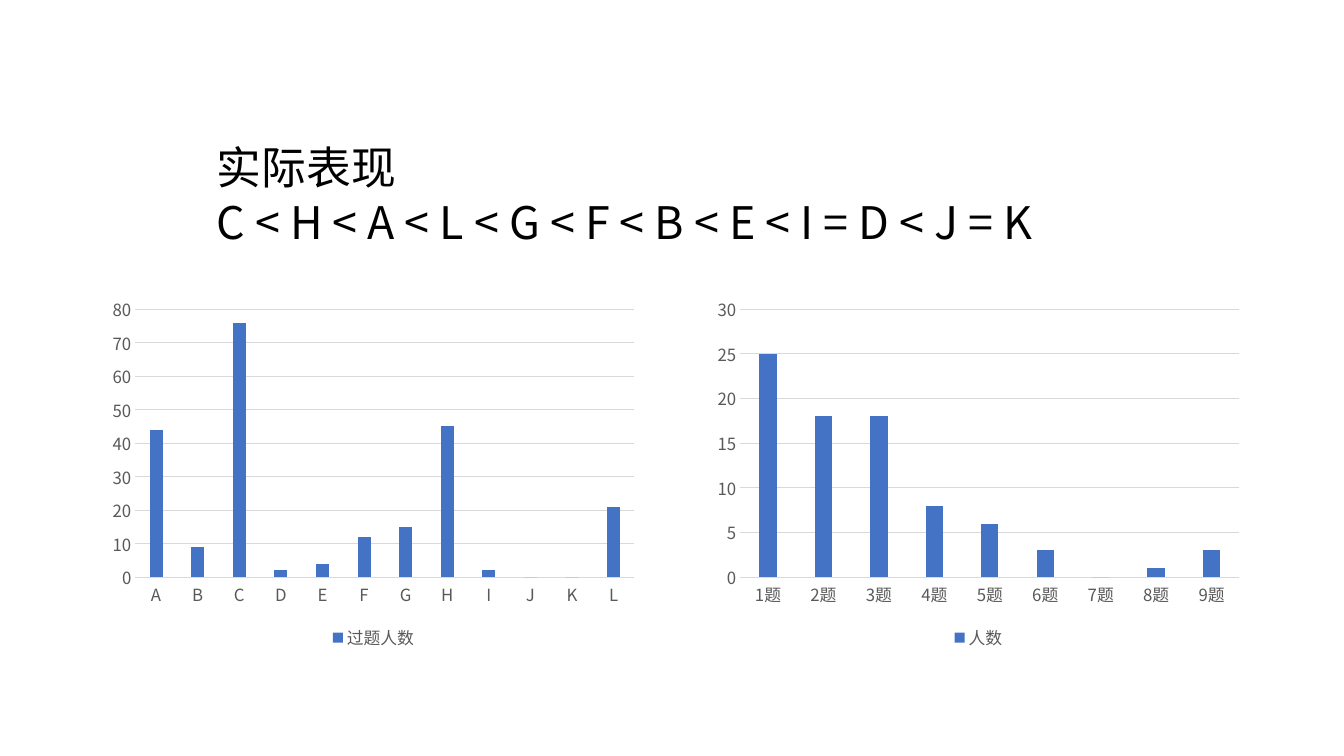
from dataclasses import dataclass

from lxml import etree
from pptx import Presentation
from pptx.chart.data import CategoryChartData
from pptx.dml.color import RGBColor
from pptx.enum.chart import XL_CHART_TYPE, XL_LEGEND_POSITION, XL_TICK_MARK
from pptx.enum.text import MSO_AUTO_SIZE
from pptx.oxml.ns import qn
from pptx.util import Inches, Pt

CLUSTERED = XL_CHART_TYPE.COLUMN_CLUSTERED
BOTTOM = XL_LEGEND_POSITION.BOTTOM
NO_TICKS = XL_TICK_MARK.NONE
FIT_SHAPE = MSO_AUTO_SIZE.SHAPE_TO_FIT_TEXT


@dataclass(frozen=True)
class Theme:
    typeface: str = "Noto Sans CJK SC"
    ink: RGBColor = RGBColor(0x00, 0x00, 0x00)
    label: RGBColor = RGBColor(0x59, 0x59, 0x59)
    rule: RGBColor = RGBColor(0xD9, 0xD9, 0xD9)
    bar: RGBColor = RGBColor(0x44, 0x72, 0xC4)
    heading_size: Pt = Pt(32)
    heading_leading: Pt = Pt(39)
    chart_size: Pt = Pt(10)
    label_size: Pt = Pt(12)
    rule_width: Pt = Pt(0.75)


class SlideBuilder:
    def __init__(self, slide, theme):
        self.slide = slide
        self.theme = theme

    def style_font(self, font, size, color):
        font.size = size
        font.bold = False
        font.color.rgb = color
        font.name = self.theme.typeface
        latin = font._element.find(qn("a:latin"))
        east_asian = etree.Element(qn("a:ea"), typeface=self.theme.typeface)
        latin.addnext(east_asian)

    def style_rule(self, line):
        line.color.rgb = self.theme.rule
        line.width = self.theme.rule_width

    def heading(self, lines, left, top, width, height):
        box = self.slide.shapes.add_textbox(
            Inches(left), Inches(top), Inches(width), Inches(height)
        )
        frame = box.text_frame
        frame.word_wrap = True
        frame.auto_size = FIT_SHAPE
        for index, line in enumerate(lines):
            paragraph = frame.add_paragraph() if index else frame.paragraphs[0]
            paragraph.line_spacing = self.theme.heading_leading
            run = paragraph.add_run()
            run.text = line
            self.style_font(run.font, self.theme.heading_size, self.theme.ink)

    def column_chart(self, name, counts, top_value, step, left, top, width, height):
        theme = self.theme
        data = CategoryChartData()
        data.categories = list(counts)
        data.add_series(name, list(counts.values()))
        chart = self.slide.shapes.add_chart(
            CLUSTERED, Inches(left), Inches(top), Inches(width), Inches(height), data
        ).chart
        self.style_font(chart.font, theme.chart_size, theme.ink)
        chart.has_title = False
        chart.has_legend = True
        chart.legend.position = BOTTOM
        chart.legend.include_in_layout = False
        self.style_font(chart.legend.font, theme.label_size, theme.label)

        for axis in (chart.category_axis, chart.value_axis):
            axis.major_tick_mark = NO_TICKS
            axis.minor_tick_mark = NO_TICKS
            self.style_font(axis.tick_labels.font, theme.label_size, theme.label)
        self.style_rule(chart.category_axis.format.line)

        scale = chart.value_axis
        scale.minimum_scale = 0
        scale.maximum_scale = top_value
        scale.major_unit = step
        scale.format.line.fill.background()
        self.style_rule(scale.major_gridlines.format.line)

        plot = chart.plots[0]
        plot.vary_by_categories = False
        plot.gap_width = 219
        plot.overlap = -27
        bars = plot.series[0].format.fill
        bars.solid()
        bars.fore_color.rgb = theme.bar


def main():
    deck = Presentation()
    deck.slide_width = Inches(13.33)
    deck.slide_height = Inches(7.5)
    builder = SlideBuilder(deck.slides.add_slide(deck.slide_layouts[6]), Theme())

    solved_per_problem = dict(
        zip("ABCDEFGHIJKL", (44, 9, 76, 2, 4, 12, 15, 45, 2, 0, 0, 21))
    )
    people_per_score = {
        f"{solved}题": people
        for solved, people in enumerate((25, 18, 18, 8, 6, 3, 0, 1, 3), start=1)
    }
    results = (
        ("过题人数", solved_per_problem, 80, 10),
        ("人数", people_per_score, 30, 5),
    )
    for column, result in enumerate(results):
        builder.column_chart(*result, 1.01 + 6 * column, 2.87, 5.39, 3.62)

    difficulty_order = "C < H < A < L < G < F < B < E < I = D < J = K"
    builder.heading(("实际表现", difficulty_order), 2.05, 1.33, 9.23, 1.18)
    deck.save("out.pptx")


if __name__ == "__main__":
    main()
